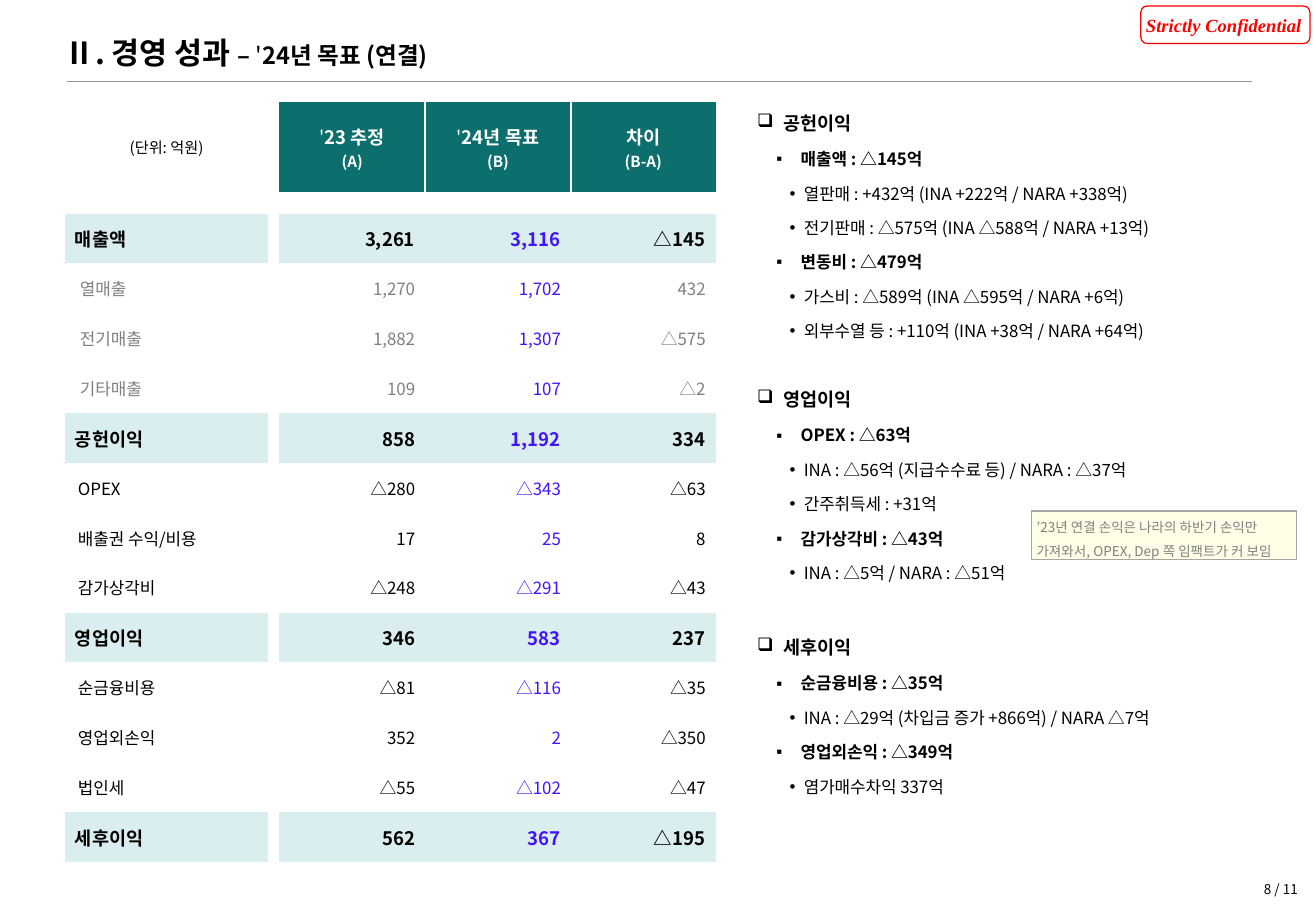
from copy import deepcopy

from lxml import etree
from pptx import Presentation
from pptx.dml.color import RGBColor
from pptx.enum.shapes import MSO_CONNECTOR, MSO_SHAPE
from pptx.enum.text import MSO_ANCHOR, MSO_AUTO_SIZE, PP_ALIGN
from pptx.oxml.ns import qn
from pptx.util import Pt

LEFT, MID, RIGHT = PP_ALIGN.LEFT, PP_ALIGN.CENTER, PP_ALIGN.RIGHT
TOP, CENTER = MSO_ANCHOR.TOP, MSO_ANCHOR.MIDDLE
FIXED = MSO_AUTO_SIZE.NONE
STRAIGHT = MSO_CONNECTOR.STRAIGHT
ROUND, RECT = MSO_SHAPE.ROUNDED_RECTANGLE, MSO_SHAPE.RECTANGLE
PX = 7620  # 120 px to the inch
FONT = "Noto Sans CJK KR"
PLAIN = "{2D5ABB26-0587-4C30-8999-92F81FD0307C}"

BLACK = RGBColor(0x00, 0x00, 0x00)
WHITE = RGBColor(0xFF, 0xFF, 0xFF)
GRAY = RGBColor(0x80, 0x80, 0x80)
RULE = RGBColor(0x92, 0x92, 0x92)
EDGE = RGBColor(0xA6, 0xA6, 0xA6)
RED = RGBColor(0xFF, 0x00, 0x00)
BLUE = RGBColor(0x42, 0x14, 0xFE)
TEAL = RGBColor(0x0D, 0x6E, 0x6E)
PALE = RGBColor(0xDA, 0xED, 0xEF)
CREAM = RGBColor(0xFF, 0xFE, 0xE6)

# Content: text pieces are (text, size, bold)
TITLE = [("Ⅱ. 경영 성과 ", 18, True), ("– ", 14, True), ("'", 14, False),
         ("24년 목표 (연결)", 14, True)]
HEADS = [
    [("'", 11, False), ("23 추정\n", 11, True), ("(A)", 9, True)],
    [("'", 11, False), ("24년 목표\n", 11, True), ("(B)", 9, True)],
    [("차이\n", 11, True), ("(B-A)", 9, True)],
]
ROWS = [  # kind, label, values
    ("total", "매출액", "3,261", "3,116", "△145"),
    ("sales", "열매출", "1,270", "1,702", "432"),
    ("sales", "전기매출", "1,882", "1,307", "△575"),
    ("sales", "기타매출", "109", "107", "△2"),
    ("total", "공헌이익", "858", "1,192", "334"),
    ("cost", "OPEX", "△280", "△343", "△63"),
    ("cost", "배출권 수익/비용", "17", "25", "8"),
    ("cost", "감가상각비", "△248", "△291", "△43"),
    ("total", "영업이익", "346", "583", "237"),
    ("cost", "순금융비용", "△81", "△116", "△35"),
    ("cost", "영업외손익", "352", "2", "△350"),
    ("cost", "법인세", "△55", "△102", "△47"),
    ("total", "세후이익", "562", "367", "△195"),
]
KINDS = {  # size, bold, colour, label inset
    "total": (11, True, BLACK, 10),
    "sales": (10, False, GRAY, 15),
    "cost": (10, False, BLACK, 13),
}
NOTES = [  # heading, top, height of list, items (level, text)
    ("공헌이익", 101, 90, [
        (0, "매출액 : △145억"),
        (1, "열판매 : +432억 (INA +222억 / NARA +338억)"),
        (1, "전기판매 : △575억 (INA △588억 / NARA +13억)"),
        (0, "변동비 : △479억"),
        (1, "가스비 : △589억 (INA △595억 / NARA +6억)"),
        (1, "외부수열 등 : +110억 (INA +38억 / NARA +64억)")]),
    ("영업이익", 374, 198, [
        (0, "OPEX : △63억"),
        (1, "INA : △56억 (지급수수료 등) / NARA : △37억"),
        (1, "간주취득세 : +31억"),
        (0, "감가상각비 : △43억"),
        (1, "INA : △5억 / NARA : △51억")]),
    ("세후이익", 619, 140, [
        (0, "순금융비용 : △35억"),
        (1, "INA : △29억 (차입금 증가 +866억) / NARA △7억"),
        (0, "영업외손익 : △349억"),
        (1, "염가매수차익 337억")]),
]
MARKS = [("▪", 36, 24), ("•", 39, 14)]  # bullet, margin, hang
MEMO = ["’23년 연결 손익은 나라의 하반기 손익만",
        "가져와서, OPEX, Dep 쪽 임팩트가 커 보임"]


def put(frame, text, size=10, bold=False, ital=False, color=BLACK, font=FONT,
        align=LEFT, line=1.0, before=0, after=0, mark=None):
    """Add one paragraph; text is a string or a list of pieces."""
    para = frame.paragraphs[-1]
    if para.runs:
        para = frame.add_paragraph()
    para.alignment, para.line_spacing = align, line
    para.space_before, para.space_after = Pt(before), Pt(after)
    if mark:
        sign, margin, hang = mark
        props = para._p.get_or_add_pPr()
        props.set("marL", str(margin * PX))
        props.set("indent", str(-hang * PX))
        etree.SubElement(props, qn("a:buChar")).set("char", sign)
    pieces = [(text, size, bold)] if isinstance(text, str) else text
    for words, points, heavy in pieces:
        run = para.add_run()
        run.text = words.rstrip("\n")
        face = run.font
        face.size, face.bold, face.italic = Pt(points), heavy, ital
        face.color.rgb, face.name = color, font
        props = run._r.get_or_add_rPr()
        etree.SubElement(props, qn("a:ea")).set("typeface", font)
        if words.endswith("\n"):
            para.add_line_break()
            para._p[-1].append(deepcopy(props))


def place(shape, box, inset=(12, 6, 12, 6), anchor=TOP, wrap=True):
    shape.left, shape.top, shape.width, shape.height = (n * PX for n in box)
    frame = shape.text_frame
    frame.auto_size, frame.word_wrap = FIXED, wrap
    frame.vertical_anchor = anchor
    (frame.margin_left, frame.margin_top,
     frame.margin_right, frame.margin_bottom) = (n * PX for n in inset)
    return frame


def style(shape, line, fill=None):
    shape.shadow.inherit = False
    shape.line.color.rgb, shape.line.width = line, Pt(0.75)
    if fill is None:
        shape.fill.background()
    else:
        shape.fill.solid()
        shape.fill.fore_color.rgb = fill


def cell_set(cell, fill=None, left=1, right=1):
    cell.margin_left, cell.margin_right = left * PX, right * PX
    cell.margin_top = cell.margin_bottom = 0
    cell.vertical_anchor = CENTER
    if fill is None:
        cell.fill.background()
    else:
        cell.fill.solid()
        cell.fill.fore_color.rgb = fill
    return cell.text_frame


def side(cell, tag, spot):
    edge = etree.Element(qn(tag), w=str(Pt(1)))
    paint = etree.SubElement(edge, qn("a:solidFill"))
    etree.SubElement(paint, qn("a:srgbClr")).set("val", str(WHITE))
    cell._tc.get_or_add_tcPr().insert(spot, edge)


deck = Presentation()
deck.slide_width, deck.slide_height = 1300 * PX, 900 * PX
slide = deck.slides.add_slide(deck.slide_layouts[4])
shapes = slide.shapes
title, *bodies, spare = slide.placeholders
spare.element.getparent().remove(spare.element)

# Stamp, rule, page number
stamp = shapes.add_shape(ROUND, 0, 0, PX, PX)
style(stamp, RED)
put(place(stamp, (1127, 6, 167, 37), (10, 5, 13, 5), CENTER, False),
    "Strictly Confidential", size=11, bold=True, ital=True, color=RED,
    font="Times New Roman", align=MID)
rule = shapes.add_connector(STRAIGHT, 66 * PX, 80 * PX, 1237 * PX, 80 * PX)
rule.line.color.rgb, rule.line.width = RULE, Pt(0.5)
etree.SubElement(rule._element.spPr, qn("a:effectLst"))
page = shapes.add_textbox(0, 0, PX, PX)
put(place(page, (1191, 862, 103, 32), anchor=CENTER), "8 / 11", size=8, align=RIGHT)

# Title
put(place(title, (64, 33, 833, 43), (0, 6, 12, 6)), TITLE, line=0.86)

# Table
widths = [201, 11, 144, 144, 143]
heights = [40, 49, 21] + [641 / len(ROWS)] * len(ROWS)
grid = shapes.add_table(len(heights), len(widths), 64 * PX, 101 * PX,
                        sum(widths) * PX, int(sum(heights) * PX)).table
grid.first_row = grid.horz_banding = False
grid._tbl.tblPr.find(qn("a:tableStyleId")).text = PLAIN
for col, width in zip(grid.columns, widths):
    col.width = width * PX
for row, height in zip(grid.rows, heights):
    row.height = int(height * PX)
for cell in grid.iter_cells():
    cell_set(cell)

for c in (0, 2, 3, 4):
    grid.cell(0, c).merge(grid.cell(1, c))
put(grid.cell(0, 0).text_frame, "(단위: 억원)", size=9, align=MID)
for c, head in enumerate(HEADS, 2):
    cell = grid.cell(0, c)
    put(cell_set(cell, TEAL), head, color=WHITE, align=MID)
    if c > 2:
        side(cell, "a:lnL", 0)
    if c < 4:
        side(cell, "a:lnR", int(c > 2))

for r, (kind, label, *values) in enumerate(ROWS, 3):
    size, bold, color, inset = KINDS[kind]
    fill = PALE if kind == "total" else None
    put(cell_set(grid.cell(r, 0), fill, inset), label, size=size, bold=bold, color=color)
    for c, value in enumerate(values, 2):
        put(cell_set(grid.cell(r, c), fill, 0, 10), value, size=size, bold=bold,
            color=BLUE if c == 3 else color, align=RIGHT)
for cell in grid.iter_cells():
    if not cell.text:  # keep blank cells from stretching their rows
        etree.SubElement(cell.text_frame.paragraphs[0]._p, qn("a:endParaRPr")).set("sz", "600")

# Comment lists
for body, (head, top, height, items) in zip(bodies, NOTES):
    box = shapes.add_textbox(0, 0, PX, PX)
    put(place(box, (743, top, 388, 36), (5, 5, 5, 5), CENTER), head,
        size=11, bold=True, line=1.2, mark=("❑", 26, 26))
    frame = place(body, (743, top + 36, 576, height))
    for i, (level, text) in enumerate(items):
        put(frame, text, bold=level == 0, line=1.2, before=3 if i else 0,
            after=3, mark=MARKS[level])

# Memo
memo = shapes.add_shape(RECT, 0, 0, PX, PX)
style(memo, EDGE, CREAM)
frame = place(memo, (1019, 505, 262, 48), (5, 0, 0, 0), CENTER)
for text in MEMO:
    put(frame, text, size=8, color=GRAY, line=1.5)

deck.save("out.pptx")
